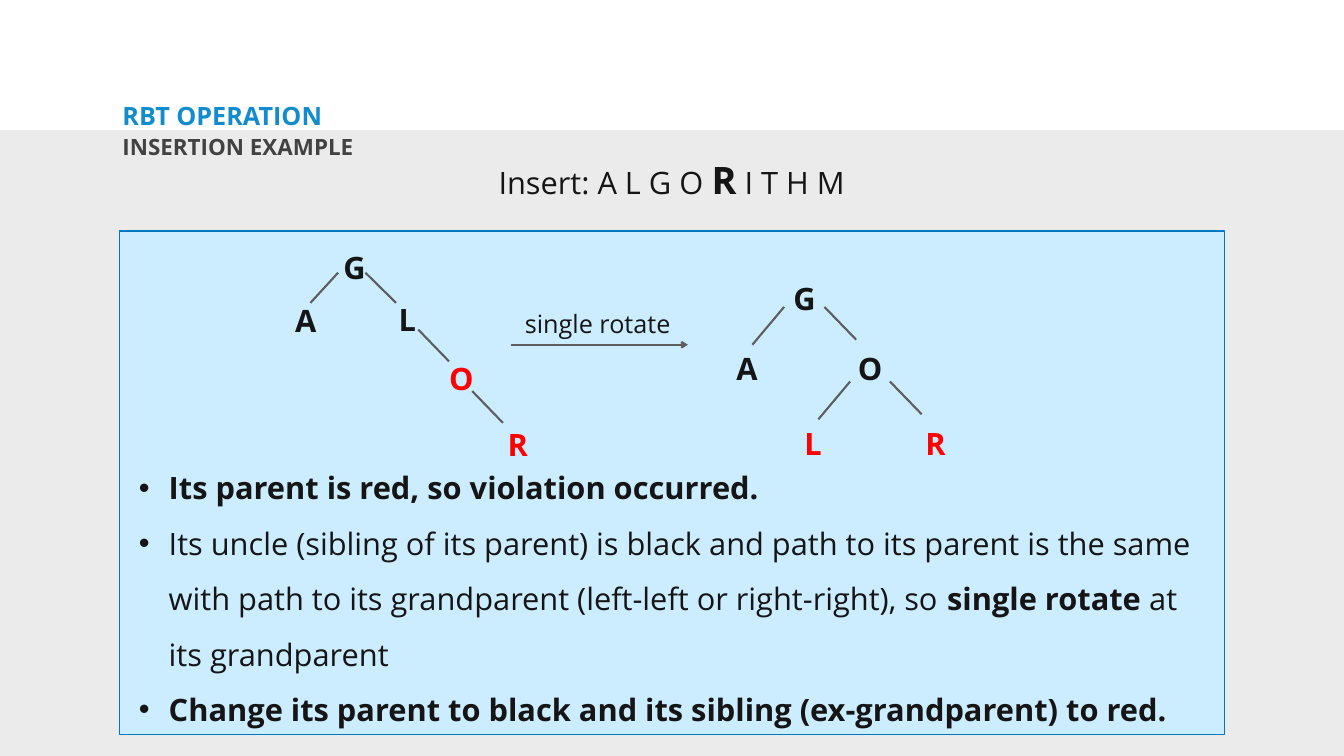
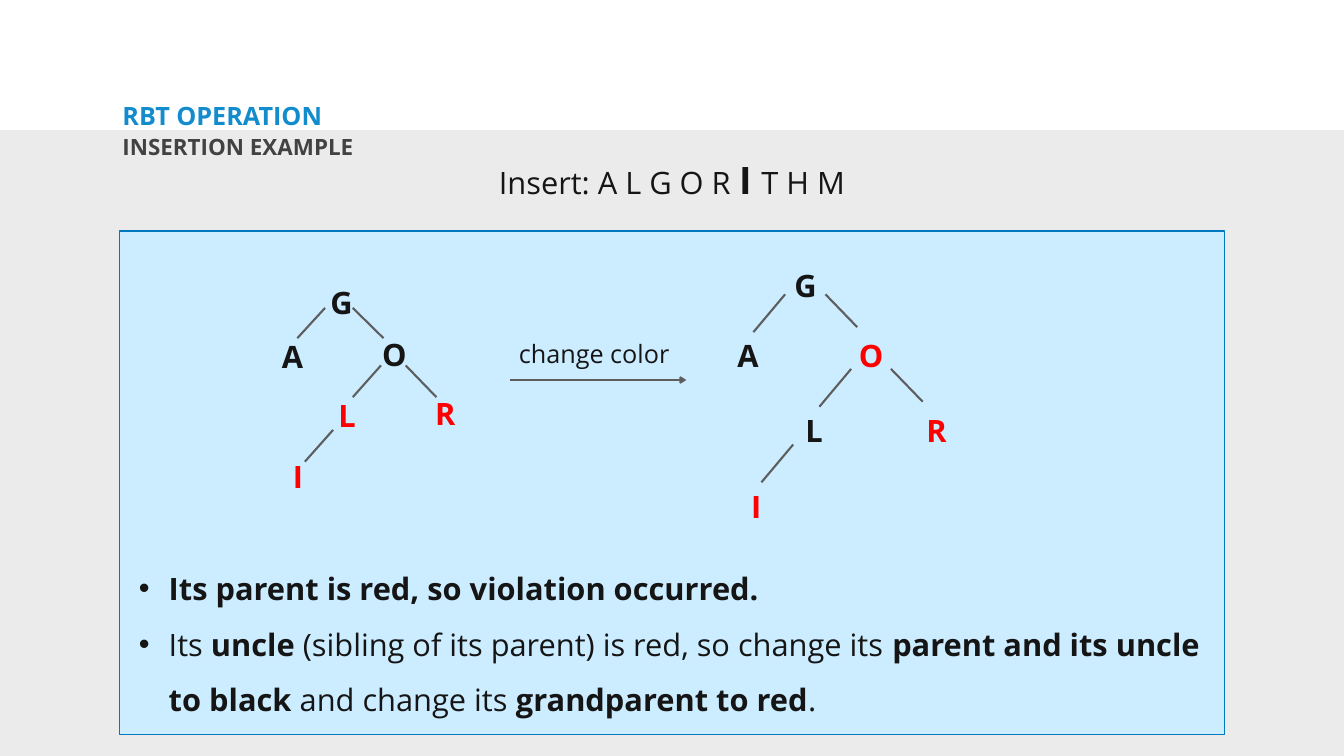
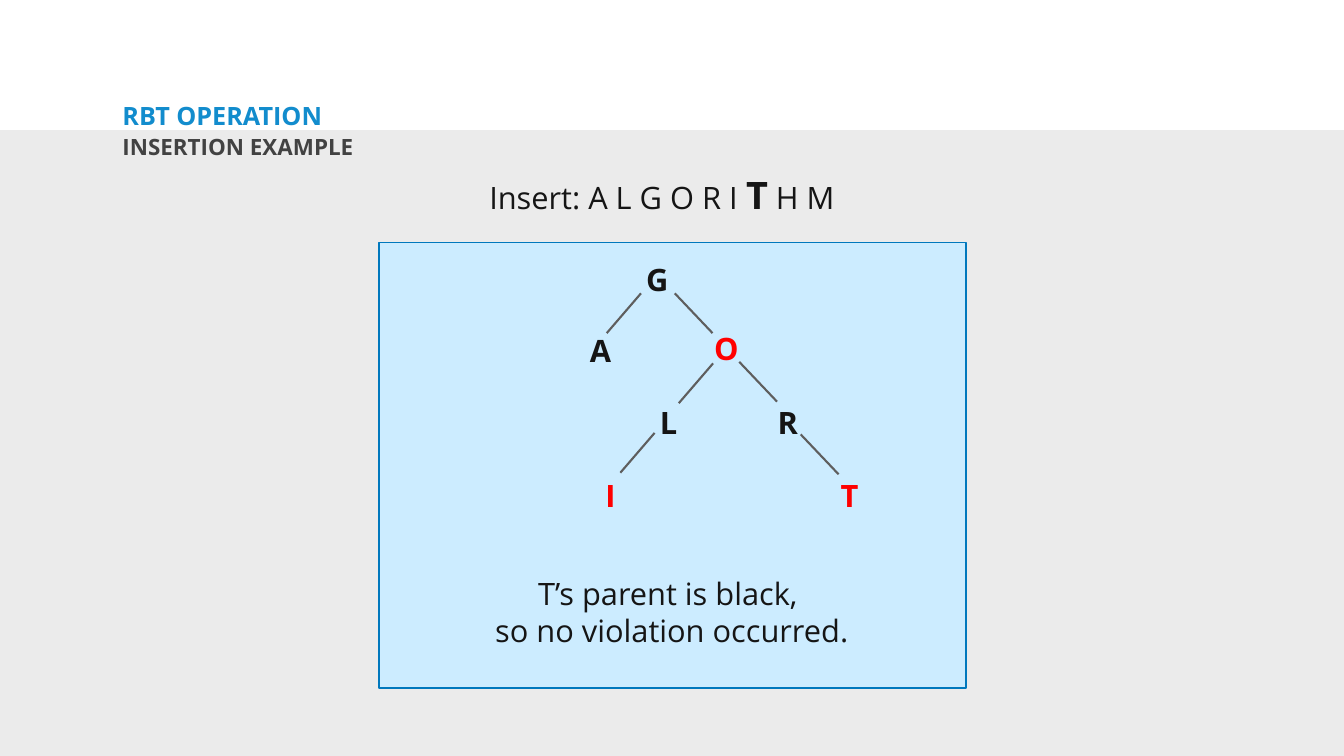
from lxml import etree
from pptx import Presentation
from pptx.dml.color import RGBColor
from pptx.enum.shapes import MSO_CONNECTOR, MSO_SHAPE
from pptx.enum.text import MSO_AUTO_SIZE, PP_ALIGN
from pptx.oxml.ns import qn
from pptx.util import Inches, Pt

RECTANGLE = MSO_SHAPE.RECTANGLE
STRAIGHT = MSO_CONNECTOR.STRAIGHT
GROW = MSO_AUTO_SIZE.SHAPE_TO_FIT_TEXT
LEFT, CENTER = PP_ALIGN.LEFT, PP_ALIGN.CENTER

TITLE_BLUE = RGBColor(0x12, 0x8C, 0xCD)
SUBTITLE_GRAY = RGBColor(0x42, 0x42, 0x42)
BAND_GRAY = RGBColor(0xEB, 0xEB, 0xEB)
PANEL_FILL = RGBColor(0xCC, 0xEC, 0xFF)
PANEL_LINE = RGBColor(0x00, 0x78, 0xBD)
EDGE_GRAY = RGBColor(0x5E, 0x5E, 0x5E)
BLACK = RGBColor(0x15, 0x15, 0x15)
RED = RGBColor(0xFF, 0x00, 0x00)

FONT = "Open Sans"
WIDTH, HEIGHT = 26.67, 15
BAND_TOP = 2.58
MARGIN = 2.37
BODY_LEFT, BODY_WIDTH = 2.66, 21.35
BULLET_INDENT = 0.59
NODE_HEIGHT = 0.84
NODE_WIDTHS = {"A": 0.65, "G": 0.65, "I": 0.41, "L": 0.55, "O": 0.69, "R": 0.61, "T": 0.56}
WIDE_PANEL = (MARGIN, 4.58, 21.93, 10)


def write(paragraph, text, size=44, bold_size=None, color=BLACK, bold=False,
          align=LEFT, spacing=None, bullet=False):
    """Fill a paragraph; parts between ** marks are bold, in bold_size if given."""
    if bullet:
        properties = paragraph._p.get_or_add_pPr()
        properties.set("marL", str(Inches(BULLET_INDENT)))
        properties.set("indent", str(-Inches(BULLET_INDENT)))
        etree.SubElement(properties, qn("a:buFont"), typeface="Arial")
        etree.SubElement(properties, qn("a:buChar"), char="•")
    paragraph.alignment = align
    if spacing:
        paragraph.line_spacing = spacing
    for index, part in enumerate(text.split("**")):
        if not part:
            continue
        strong = index % 2 == 1
        run = paragraph.add_run()
        run.text = part
        run.font.name = FONT
        run.font.size = Pt(bold_size if strong and bold_size else size)
        run.font.bold = bold or strong
        run.font.color.rgb = color


def shifted(places, dx, dy):
    """Move (key, left, top) places by the same offset."""
    return [(key, left + dx, top + dy) for key, left, top in places]


class Deck:
    def __init__(self):
        self.presentation = Presentation()
        self.presentation.slide_width = Inches(WIDTH)
        self.presentation.slide_height = Inches(HEIGHT)
        self.slide = None

    def start_slide(self, insert_text, insert_box, panel):
        self.slide = self.presentation.slides.add_slide(self.presentation.slide_layouts[6])
        self.rectangle((0, BAND_TOP, WIDTH, HEIGHT - BAND_TOP), BAND_GRAY)
        self.text((MARGIN, 2.05, 16.09, 0.56), ["RBT OPERATION"], inset=0.06,
                  size=36, color=TITLE_BLUE, bold=True, spacing=0.8)
        self.text((MARGIN, 2.65, 10.68, 0.88), ["INSERTION EXAMPLE"], inset=0.06,
                  size=32, color=SUBTITLE_GRAY, bold=True, spacing=0.9)
        self.rectangle(panel, PANEL_FILL, PANEL_LINE)
        self.text(insert_box, [insert_text], wrap=False, grow=True, bold_size=54, align=CENTER)

    def rectangle(self, box, fill, line=None):
        shape = self.slide.shapes.add_shape(RECTANGLE, *map(Inches, box))
        shape.shadow.inherit = False
        shape.fill.solid()
        shape.fill.fore_color.rgb = fill
        if line is None:
            shape.line.fill.background()
        else:
            shape.line.color.rgb = line
            shape.line.width = Pt(2)

    def text(self, box, paragraphs, inset=None, wrap=True, grow=False, parent=None, **style):
        shapes = (parent or self.slide).shapes
        frame = shapes.add_textbox(*map(Inches, box)).text_frame
        frame.word_wrap = wrap
        if grow:
            frame.auto_size = GROW
        if inset is not None:
            frame.margin_left = frame.margin_right = Inches(inset)
            frame.margin_top = frame.margin_bottom = Inches(inset)
        for index, content in enumerate(paragraphs):
            paragraph = frame.add_paragraph() if index else frame.paragraphs[0]
            write(paragraph, content, **style)

    def line(self, start, end, arrow=False, parent=None):
        shapes = (parent or self.slide).shapes
        connector = shapes.add_connector(STRAIGHT, *map(Inches, (*start, *end)))
        connector.line.color.rgb = EDGE_GRAY
        connector.line.width = Pt(3)
        if arrow:
            etree.SubElement(connector.line._get_or_add_ln(), qn("a:tailEnd"), type="arrow")
        etree.SubElement(connector._element.spPr, qn("a:effectLst"))

    def tree(self, nodes, edges, red):
        """Draw nodes (letter, left, top) and edges ((dx, dy), left, top) as a group."""
        group = self.slide.shapes.add_group_shape()
        for letter, left, top in nodes:
            self.text((left, top, NODE_WIDTHS[letter], NODE_HEIGHT), [letter], wrap=False,
                      grow=True, parent=group, bold=True, align=CENTER,
                      color=RED if letter in red else BLACK)
        for (dx, dy), left, top in edges:
            self.line((left, top), (left + dx, top + dy), parent=group)

    def step(self, label, label_box, arrow_start):
        """Draw the labelled arrow between two trees."""
        left, top = arrow_start
        self.line(arrow_start, (left + 3.5, top), arrow=True)
        self.text(label_box, [label], grow=True, size=36, align=CENTER)

    def bullets(self, top, height, items):
        self.text((BODY_LEFT, top, BODY_WIDTH, height), items, grow=True,
                  spacing=1.5, bullet=True)


# Edge vectors from parent to child
LEFT_DOWN, RIGHT_DOWN = (-0.63, 0.75), (0.63, 0.65)
SMALL_LEFT, SMALL_RIGHT = (-0.55, 0.6), (0.61, 0.6)
LOW_LEFT, LOW_RIGHT = (-0.56, 0.63), (0.61, 0.63)
WIDE_LEFT, WIDE_RIGHT = (-0.68, 0.79), (0.75, 0.79)

ROTATED_NODES = [("G", 15.64, 5.5), ("A", 14.5, 6.89), ("O", 16.92, 6.89),
                 ("L", 15.86, 8.37), ("R", 18.26, 8.37)]
ROTATED_EDGES = [(LEFT_DOWN, 15.56, 6.09), (RIGHT_DOWN, 16.36, 6.09),
                 (LEFT_DOWN, 16.87, 7.57), (RIGHT_DOWN, 17.66, 7.57)]
RECOLOR_SHIFT = (0.02, -0.25)


def insert_r(deck):
    deck.start_slide("Insert: A L G O **R** I T H M", (9.78, 3.06, 7.1, 1.01), WIDE_PANEL)
    deck.tree(
        [("G", 6.71, 4.88), ("A", 5.74, 5.94), ("L", 7.81, 5.91),
         ("O", 8.81, 7.09), ("R", 9.97, 8.39)],
        [(SMALL_LEFT, 6.71, 5.41), (SMALL_RIGHT, 7.25, 5.41),
         (LOW_RIGHT, 8.3, 6.54), (LOW_RIGHT, 9.37, 7.76)],
        red="OR")
    deck.step("single rotate", (9.97, 6.06, 3.78, 0.71), (10.15, 6.84))
    deck.tree(ROTATED_NODES, ROTATED_EDGES, red="LR")
    deck.bullets(8.89, 5.54, [
        "**Its parent is red, so violation occurred.**",
        "Its uncle (sibling of its parent) is black and path to its parent is the same with "
        "path to its grandparent (left-left or right-right), so **single rotate **at its "
        "grandparent",
        "**Change its parent to black and its sibling (ex-grandparent) to red.**",
    ])


def insert_i(deck):
    deck.start_slide("Insert: A L G O R **I **T H M", (9.71, 3.06, 7.25, 1.01), WIDE_PANEL)
    deck.tree(
        [("G", 6.45, 5.58), ("A", 5.48, 6.65), ("O", 7.48, 6.62),
         ("L", 6.61, 7.83), ("R", 8.53, 7.79), ("I", 5.71, 9.04)],
        [(SMALL_LEFT, 6.45, 6.11), (SMALL_RIGHT, 7, 6.11), (LOW_LEFT, 7.56, 7.25),
         (LOW_RIGHT, 8.05, 7.25), (LOW_LEFT, 6.61, 8.53)],
        red="LRI")
    deck.step("change color", (9.9, 6.66, 3.78, 0.71), (10.12, 7.54))
    deck.tree(
        shifted(ROTATED_NODES, *RECOLOR_SHIFT) + [("I", 14.8, 9.62)],
        shifted(ROTATED_EDGES, *RECOLOR_SHIFT) + [(LEFT_DOWN, 15.74, 8.82)],
        red="ORI")
    deck.bullets(10.89, 3.31, [
        "**Its parent is red, so violation occurred.**",
        "Its **uncle** (sibling of its parent) is red, so change its **parent and its uncle "
        "to black** and change its **grandparent to red**.",
    ])


def insert_t(deck):
    deck.start_slide("Insert: A L G O R I **T** H M", (9.58, 3.36, 7.11, 1.01),
                     (7.52, 4.81, 11.65, 8.84))
    deck.text((BODY_LEFT, 11.36, BODY_WIDTH, 1.58),
              ["T’s parent is black, ", "so no violation occurred."], grow=True, align=CENTER)
    deck.tree(
        [("G", 12.72, 5.12), ("A", 11.59, 6.54), ("O", 14.07, 6.5), ("L", 12.99, 7.96),
         ("R", 15.33, 7.96), ("I", 11.91, 9.41), ("T", 16.58, 9.41)],
        [(WIDE_LEFT, 12.72, 5.82), (WIDE_RIGHT, 13.39, 5.82), (WIDE_LEFT, 14.15, 7.21),
         (WIDE_RIGHT, 14.67, 7.18), (WIDE_LEFT, 12.99, 8.59), (WIDE_RIGHT, 15.89, 8.62)],
        red="OIT")


def main():
    deck = Deck()
    insert_r(deck)
    insert_i(deck)
    insert_t(deck)
    deck.presentation.save("out.pptx")


if __name__ == "__main__":
    main()
